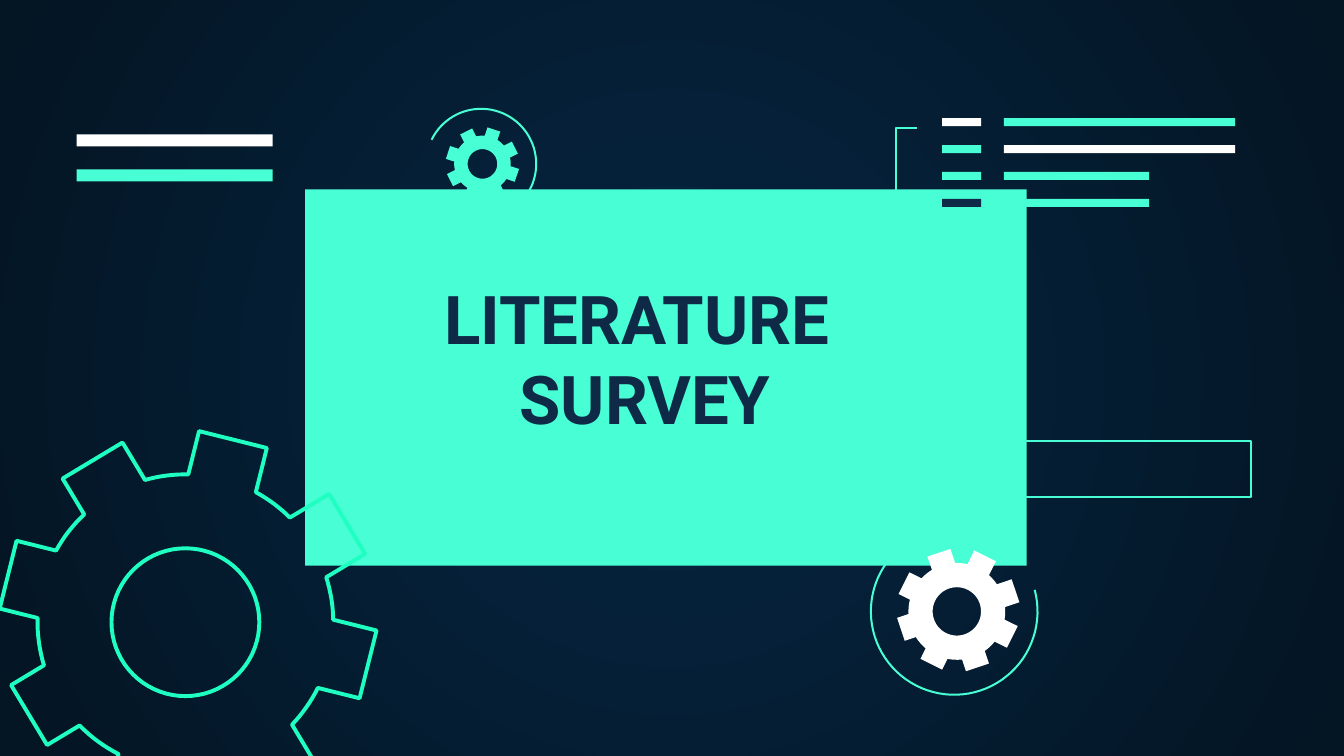
from math import atan2, cos, hypot, pi, radians, sin, sqrt

from lxml.etree import SubElement
from pptx import Presentation
from pptx.dml.color import RGBColor
from pptx.enum.shapes import MSO_SHAPE
from pptx.enum.text import MSO_ANCHOR, MSO_AUTO_SIZE, PP_ALIGN
from pptx.oxml.ns import qn
from pptx.util import Inches, Pt

COLORS = {
    "mint": "48FFD5",
    "bright": "1EFFC1",
    "white": "FFFFFF",
    "navy": "0E2A47",
    "center": "052643",
    "edge": "041523",
}
TEETH = 8


def color(name):
    return RGBColor.from_string(COLORS[name])


def paint(shape, fill=None, line=None, width=1.09):
    shape.shadow.inherit = False
    if fill:
        shape.fill.solid()
        shape.fill.fore_color.rgb = color(fill)
    else:
        shape.fill.background()
    if line:
        shape.line.color.rgb = color(line)
        shape.line.width = Pt(width)
    else:
        shape.line.fill.background()


def set_background(page):
    fill = page.background.fill
    fill.gradient()
    for stop, name in zip(fill.gradient_stops, ("center", "edge")):
        stop.color.rgb = color(name)
    gradient = page.element.find(".//" + qn("a:gradFill"))
    gradient.remove(gradient.find(qn("a:lin")))
    circle = SubElement(gradient, qn("a:path"), {"path": "circle"})
    sides = {side: "50000" for side in "ltrb"}
    SubElement(circle, qn("a:fillToRect"), sides)


def add_bar(page, left, top, width, height, fill=None, line=None):
    bar = page.shapes.add_shape(
        MSO_SHAPE.RECTANGLE, Inches(left), Inches(top), Inches(width), Inches(height)
    )
    paint(bar, fill, line)


def arc_points(center, radius, start, end, steps):
    angles = [start + (end - start) * step / steps for step in range(steps + 1)]
    return [
        (center[0] + radius * cos(angle), center[1] + radius * sin(angle))
        for angle in angles
    ]


def add_outline(page, contours, closed, **style):
    builder = None
    for contour in contours:
        points = [(Inches(x), Inches(y)) for x, y in contour]
        if builder is None:
            builder = page.shapes.build_freeform(*points[0], scale=1.0)
        else:
            builder.move_to(*points[0])
        builder.add_line_segments(points[1:], close=closed)
    paint(builder.convert_to_shape(), **style)


def add_arc(page, center, radius, start, end):
    points = arc_points(center, radius, radians(start), radians(end), 60)
    add_outline(page, [points], False, line="mint")


def tooth_points(middle, body, tip, root, half, angle):
    along = (cos(angle), sin(angle))
    corners = []
    for side in (-half, half):
        x = middle[0] - side * along[1]
        y = middle[1] + side * along[0]
        from_body = (x - body[0], y - body[1])
        projection = from_body[0] * along[0] + from_body[1] * along[1]
        foot = sqrt(projection**2 - hypot(*from_body) ** 2 + root**2) - projection
        corners.append(
            [(x + reach * along[0], y + reach * along[1]) for reach in (foot, tip)]
        )
    first, second = corners
    return [first[0], first[1], second[1], second[0]]


def add_gear(page, middle, body, tip, root, hole, half, phase, **style):
    teeth = [
        tooth_points(middle, body, tip, root, half, radians(phase) + 2 * pi * index / TEETH)
        for index in range(TEETH)
    ]
    rim = []
    for index, tooth in enumerate(teeth):
        following = teeth[(index + 1) % TEETH]
        start, end = (
            atan2(y - body[1], x - body[0]) for x, y in (tooth[-1], following[0])
        )
        end = start + (end - start) % (2 * pi)
        rim += tooth + arc_points(body, root, start, end, 8)[1:-1]
    ring = arc_points(body, hole, 2 * pi, 0, 72)
    add_outline(page, [rim, ring], True, **style)


def add_list_bars(page):
    rows = [
        ("white", "mint", 1.72),
        ("mint", "white", 1.72),
        ("mint", "mint", 1.08),
        ("navy", "mint", 1.08),
    ]
    for index, (marker, bar, width) in enumerate(rows):
        top = 0.88 + 0.2 * index
        add_bar(page, 7.01, top, 0.29, 0.06, marker)
        add_bar(page, 7.47, top, width, 0.06, bar)


def set_heading(page, lines):
    heading = page.placeholders[1]
    heading.left, heading.top = Inches(2.3), Inches(1.96)
    heading.width, heading.height = Inches(5), Inches(0.85)
    frame = heading.text_frame
    frame.word_wrap = True
    frame.auto_size = MSO_AUTO_SIZE.NONE
    frame.vertical_anchor = MSO_ANCHOR.TOP
    frame.margin_left = frame.margin_right = Inches(0.1)
    frame.margin_top = frame.margin_bottom = Inches(0.1)
    frame.text = "\n".join(lines)
    for para in frame.paragraphs:
        para.alignment = PP_ALIGN.CENTER
        para.space_before = Pt(0)
        para.line_spacing = 1.0
        para.font.name = "Roboto"
        para.font.size = Pt(36)
        para.font.bold = True
        para.font.color.rgb = color("navy")
    tree = heading.element.getparent()
    tree.append(heading.element)
    tree.remove(page.shapes.title.element)


def main():
    deck = Presentation()
    deck.slide_width = Inches(10)
    deck.slide_height = deck.slide_width * 9 // 16
    page = deck.slides.add_slide(deck.slide_layouts[0])
    set_background(page)
    add_bar(page, 2.27, 1.41, 5.37, 2.8, "mint")
    add_arc(page, (3.58, 1.22), 0.41, 206, 455)
    add_arc(page, (7.1, 4.55), 0.62, -15, 233)
    add_gear(page, (1.4, 4.61), (1.38, 4.63), 1.38, 1.1, 0.55, 0.26, 14,
             line="bright", width=2.1)
    add_gear(page, (7.13, 4.54), (7.12, 4.55), 0.45, 0.36, 0.18, 0.09, 26.4,
             fill="white")
    add_gear(page, (3.59, 1.22), (3.59, 1.22), 0.27, 0.21, 0.11, 0.05, 18.4,
             fill="mint")
    add_list_bars(page)
    bracket = [(6.83, 1.56), (6.67, 1.56), (6.67, 0.95), (6.82, 0.95)]
    add_outline(page, [bracket], False, line="mint")
    add_bar(page, 0.57, 1, 1.46, 0.09, "white")
    add_bar(page, 0.57, 1.26, 1.46, 0.09, "mint")
    add_bar(page, 7.2, 3.28, 2.11, 0.42, line="mint")
    set_heading(page, ["LITERATURE ", "SURVEY"])
    deck.save("out.pptx")


main()
